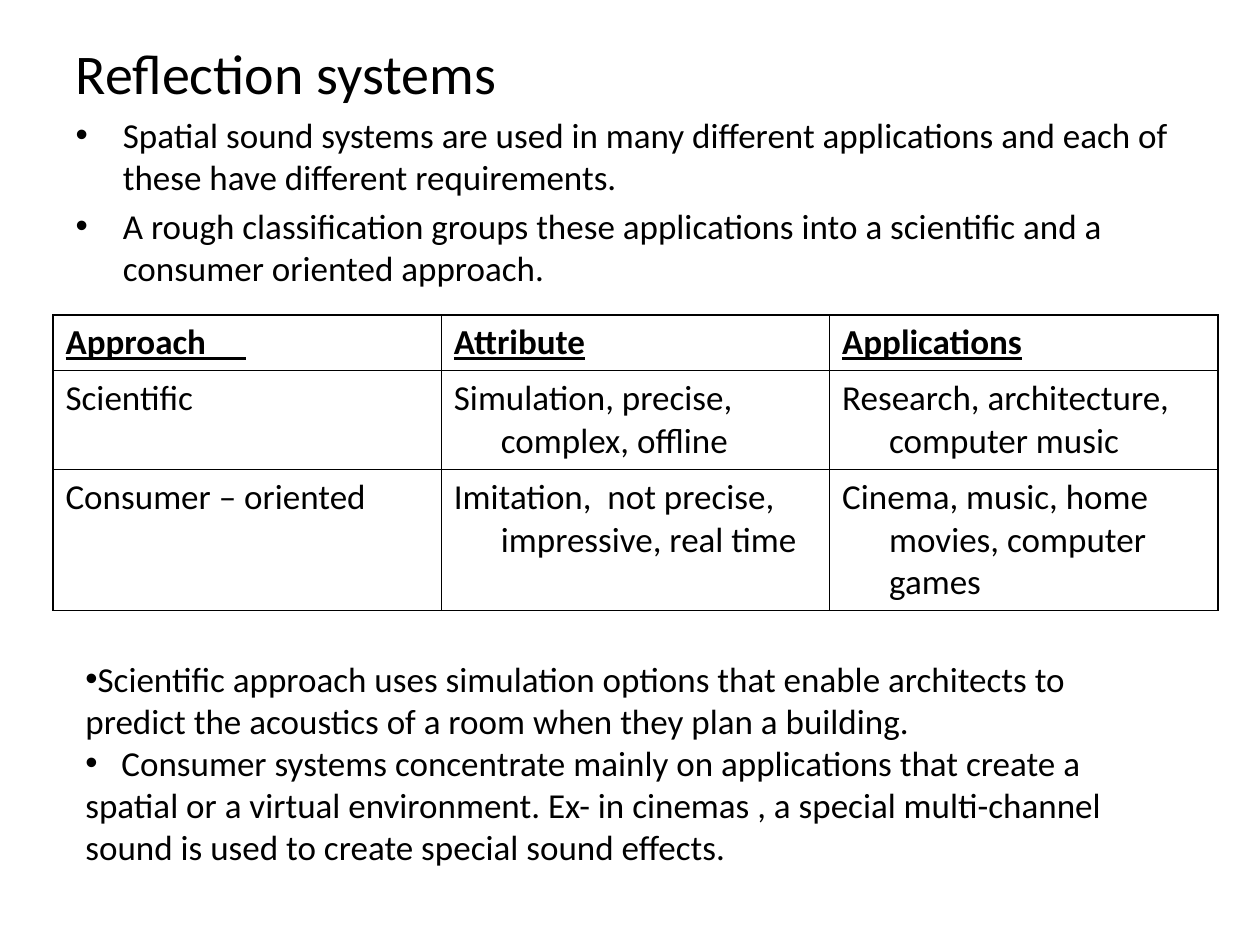
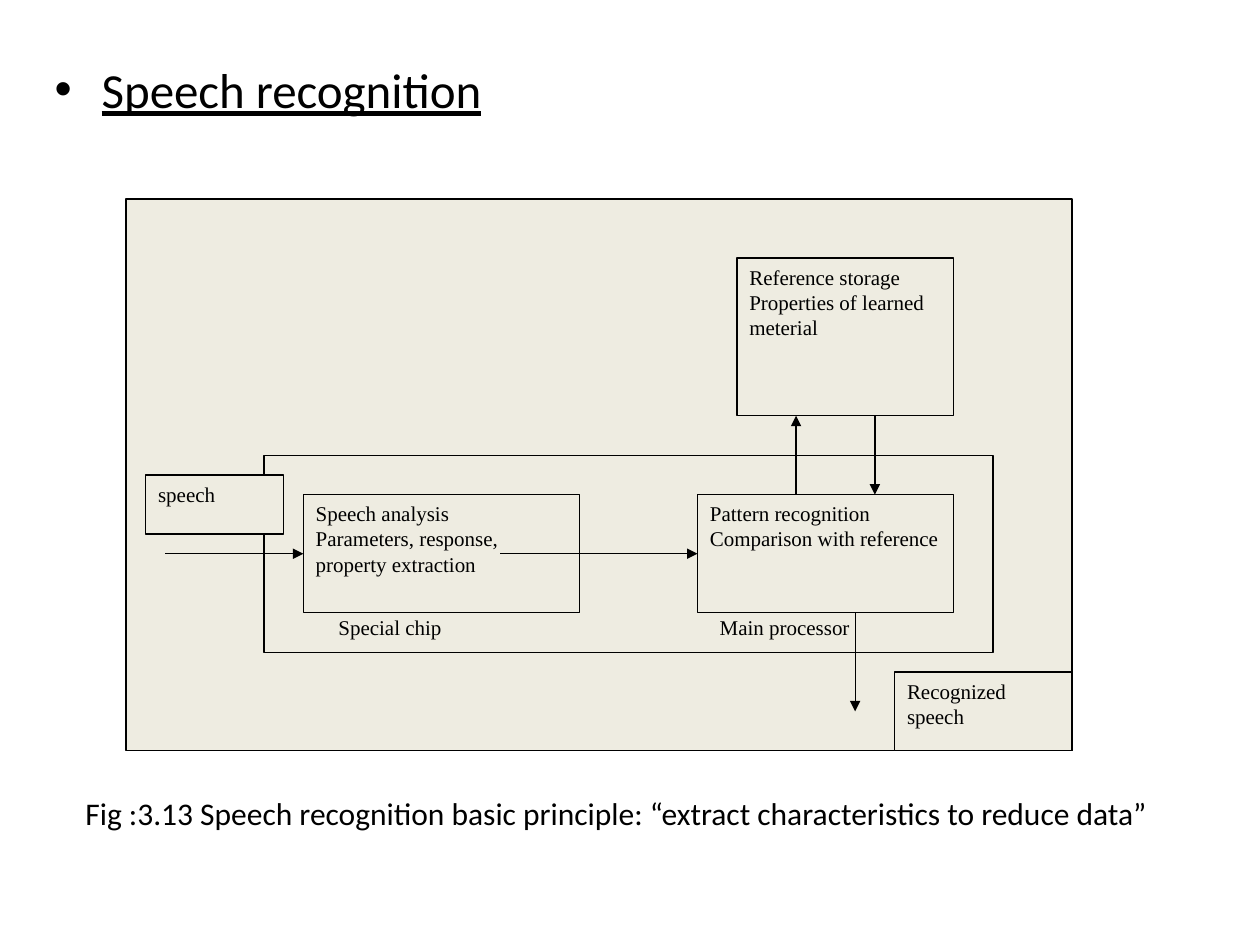
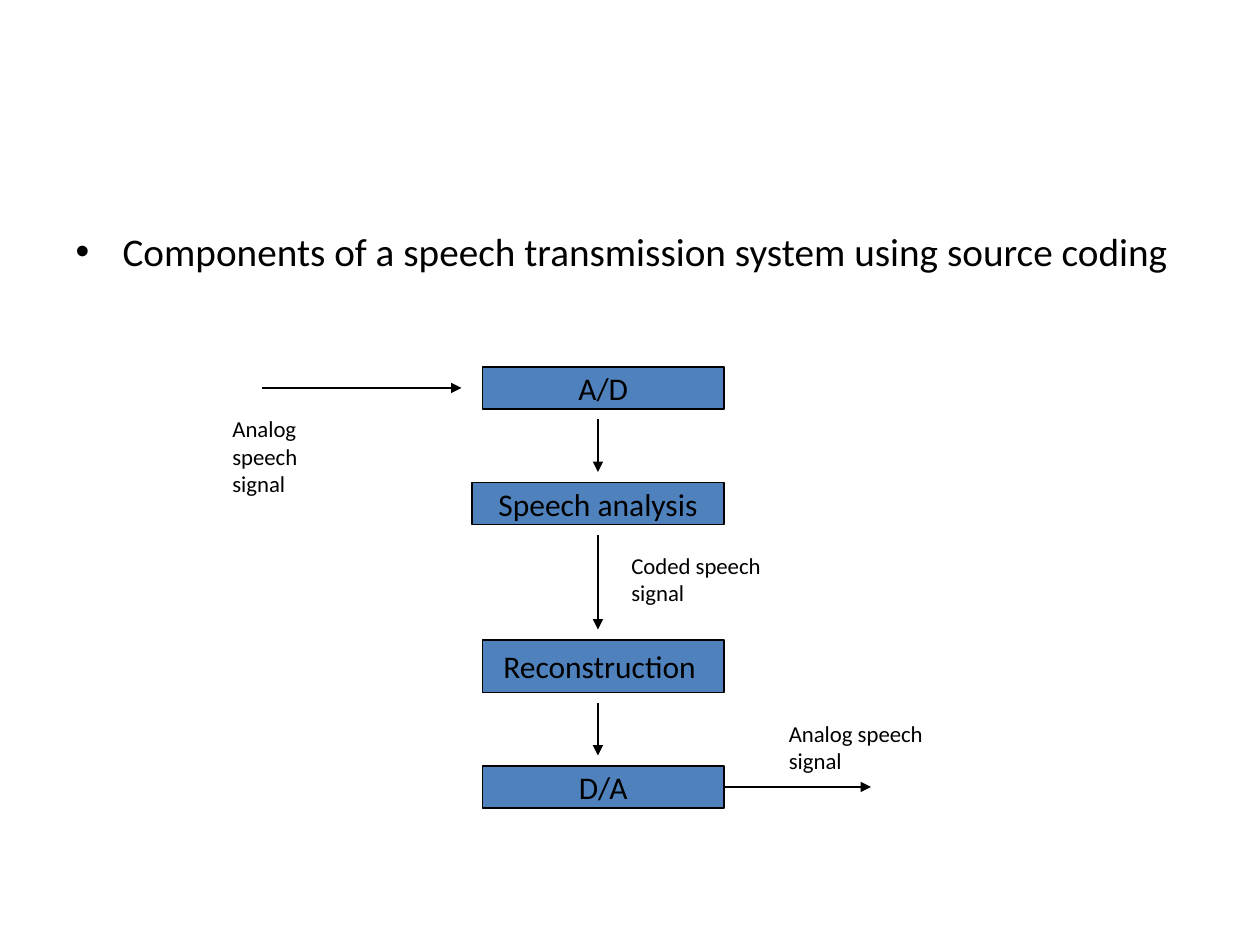
import dataclasses

import lxml.etree
import pptx
import pptx.chart.data
import pptx.dml.color
import pptx.enum.shapes
import pptx.enum.text
import pptx.oxml
import pptx.oxml.ns
import pptx.util

EMU_PER_PX = 914400 / 126
BLACK, BEIGE, BLUE = "000000", "EEECE1", "4F81BD"
SANS, SERIF = "Calibri", "Times New Roman"
HANGING = 47
LINE_WIDTH = 0.75
TITLE_AND_CONTENT, TITLE_ONLY = 1, 5

ANCHOR = pptx.enum.text.MSO_ANCHOR
ALIGN = pptx.enum.text.PP_ALIGN


@dataclasses.dataclass
class Grid:
    """Square cells that divide the width of a px box into columns."""
    left: int
    top: int
    width: int
    columns: int

    def place(self, x, y):
        cell = self.width / self.columns
        return px(self.left + x * cell), px(self.top + y * cell)

    def box(self, x, y, width, height):
        left, top = self.place(x, y)
        right, bottom = self.place(x + width, y + height)
        return left, top, right - left, bottom - top


def px(length):
    return pptx.util.Emu(round(length * EMU_PER_PX))


def px_box(box):
    return [px(length) for length in box]


def color(value):
    return pptx.dml.color.RGBColor.from_string(value)


def add_xml(parent, tag, **attributes):
    element = lxml.etree.SubElement(parent, pptx.oxml.ns.qn(tag))
    for name, value in attributes.items():
        element.set(name, str(value))
    return element


def add_run(paragraph, text, size, font=SANS, bold=None, underline=None):
    run = paragraph.add_run()
    run.text = text
    run.font.size = pptx.util.Pt(size)
    run.font.name = font
    run.font.color.rgb = color(BLACK)
    run.font.bold = bold
    run.font.underline = underline


def set_indent(paragraph, margin, first_line):
    properties = paragraph._p.get_or_add_pPr()
    properties.set("marL", str(px(margin)))
    properties.set("indent", str(px(first_line)))
    return properties


def add_bullet(properties):
    add_xml(properties, "a:buFont", typeface="Arial")
    add_xml(properties, "a:buChar", char="•")


def write_lines(frame, lines, size, font=SANS, align=ALIGN.LEFT):
    """Write one paragraph a line and return the paragraphs."""
    for index, line in enumerate(lines):
        paragraph = frame.paragraphs[0] if index == 0 else frame.add_paragraph()
        paragraph.alignment = align
        add_run(paragraph, line, size, font)
    return frame.paragraphs


def fit_placeholder(placeholder, box):
    placeholder.left, placeholder.top, placeholder.width, placeholder.height = px_box(box)
    frame = placeholder.text_frame
    frame.auto_size = pptx.enum.text.MSO_AUTO_SIZE.NONE
    frame.vertical_anchor = ANCHOR.TOP
    frame.word_wrap = True
    return frame


def add_heading(slide, box, text, size, bullet=True, underline=None):
    paragraph = fit_placeholder(slide.shapes.title, box).paragraphs[0]
    paragraph.alignment = ALIGN.LEFT
    if bullet:
        add_bullet(set_indent(paragraph, HANGING, -HANGING))
    add_run(paragraph, text, size, underline=underline)


def add_text(shapes, emu_box, lines, size, font=SANS):
    text_box = shapes.add_textbox(*emu_box)
    text_box.text_frame.word_wrap = True
    return write_lines(text_box.text_frame, lines, size, font)


def add_block(shapes, emu_box, fill):
    block = shapes.add_shape(pptx.enum.shapes.MSO_SHAPE.RECTANGLE, *emu_box)
    block.shadow.inherit = False
    block.fill.solid()
    block.fill.fore_color.rgb = color(fill)
    block.line.color.rgb = color(BLACK)
    block.line.width = pptx.util.Pt(LINE_WIDTH)
    return block


def add_arrow(shapes, start, end):
    arrow = shapes.add_connector(pptx.enum.shapes.MSO_CONNECTOR.STRAIGHT, *start, *end)
    arrow.line.color.rgb = color(BLACK)
    arrow.line.width = pptx.util.Pt(LINE_WIDTH)
    add_xml(arrow.line._get_or_add_ln(), "a:tailEnd", type="triangle")
    add_xml(arrow._element.spPr, "a:effectLst")


def add_arrows(shapes, grid, arrows):
    for x1, y1, x2, y2 in arrows:
        add_arrow(shapes, grid.place(x1, y1), grid.place(x2, y2))


def set_borders(cell):
    properties = cell._tc.get_or_add_tcPr()
    for index, side in enumerate(("a:lnL", "a:lnR", "a:lnT", "a:lnB")):
        border = lxml.etree.Element(pptx.oxml.ns.qn(side), w=str(pptx.util.Pt(1)))
        add_xml(add_xml(border, "a:solidFill"), "a:srgbClr", val=BLACK)
        properties.insert(index, border)


def add_approach_table(slide, left, top):
    rows = [
        ("Approach     ", "Attribute", "Applications"),
        ("Scientific", "Simulation, precise, complex, offline",
         "Research, architecture, computer music"),
        ("Consumer – oriented", "Imitation,  not precise, impressive, real time",
         "Cinema, music, home movies, computer games"),
    ]
    row_heights = (55, 99, 141)
    box = px_box((left, top, 1165, sum(row_heights)))
    table = slide.shapes.add_table(len(rows), len(rows[0]), *box).table
    table.first_row = table.horz_banding = False
    for row_index, (texts, height) in enumerate(zip(rows, row_heights)):
        table.rows[row_index].height = px(height)
        header = row_index == 0
        for column_index, text in enumerate(texts):
            cell = table.cell(row_index, column_index)
            cell.fill.background()
            set_borders(cell)
            paragraph = cell.text_frame.paragraphs[0]
            set_indent(paragraph, HANGING, -HANGING)
            add_run(paragraph, text, 20, bold=header, underline=header)


def build_reflection_slide(slide):
    add_heading(slide, (63, 32, 1134, 75), "Reflection systems", 32, bullet=False)
    write_lines(fit_placeholder(slide.placeholders[1], (63, 107, 1134, 208)), [
        "Spatial sound systems are used in many different applications and each of "
        "these have different requirements.",
        "A rough classification groups these applications into a scientific and a "
        "consumer oriented approach.",
    ], 20)
    add_approach_table(slide, 53, 315)
    paragraphs = add_text(slide.shapes, px_box((73, 651, 1071, 224)), [
        "Scientific approach uses simulation options that enable architects to predict "
        "the acoustics of a room when they plan a building.",
        "\tConsumer systems concentrate mainly on applications that create a spatial or "
        "a virtual environment. Ex- in cinemas , a special multi-channel sound is used "
        "to create special sound effects.",
    ], 20)
    for paragraph in paragraphs:
        properties = set_indent(paragraph, 0, 0)
        add_bullet(properties)
        add_xml(add_xml(properties, "a:tabLst"), "a:tab", pos=px(36), algn="l")


def add_recognition_diagram(slide, grid):
    shapes = slide.shapes.add_group_shape().shapes
    blocks = [
        ((0, 0, 48, 28), []),
        ((7, 13, 37, 10), []),
        ((31, 3, 11, 8), ["Reference storage", "Properties of learned meterial"]),
        ((9, 15, 14, 6), ["Speech analysis", "Parameters, response, property extraction"]),
        ((29, 15, 13, 6), ["Pattern recognition", "Comparison with reference"]),
        ((39, 24, 9, 4), ["Recognized speech"]),
        ((1, 14, 7, 3), ["speech"]),
    ]
    for cells, lines in blocks:
        frame = add_block(shapes, grid.box(*cells), BEIGE).text_frame
        frame.vertical_anchor = ANCHOR.TOP
        write_lines(frame, lines, 12, SERIF)
    for x, label in ((10.15, "Special chip"), (29.5, "Main processor")):
        add_text(shapes, grid.box(x, 20.75, 9, 2), [label], 12, SERIF)
    add_arrows(shapes, grid, [
        (19, 18, 29, 18), (2, 18, 9, 18), (37, 21, 37, 26),
        (38, 11, 38, 15), (34, 15, 34, 11),
    ])


def build_recognition_slide(slide):
    add_heading(slide, (42, 53, 1134, 84), "Speech recognition", 28, underline=True)
    add_recognition_diagram(slide, Grid(126, 199, 946, 48))
    add_text(slide.shapes, px_box((73, 788, 1103, 50)), [
        "Fig :3.13 Speech recognition basic principle: “extract characteristics to "
        "reduce data”"], 18)


def add_transmission_diagram(slide, grid):
    stages = [
        ((25, 0, 23, 4), "A/D"),
        ((24, 11, 24, 4), "Speech analysis"),
        ((25, 26, 23, 5), "Reconstruction "),
        ((25, 38, 23, 4), "D/A"),
    ]
    for cells, name in stages:
        frame = add_block(slide.shapes, grid.box(*cells), BLUE).text_frame
        frame.word_wrap = False
        frame.vertical_anchor = ANCHOR.MIDDLE
        write_lines(frame, [name], 18, align=ALIGN.CENTER)
    add_arrows(slide.shapes, grid, [
        (4, 2, 23, 2), (36, 5, 36, 10), (36, 16, 36, 25),
        (36, 32, 36, 37), (48, 40, 62, 40),
    ])
    signals = [
        ((0, 4, 14, 9), "Analog speech signal"),
        ((53, 33, 19, 6), "Analog speech signal"),
        ((38, 17, 20, 6), "Coded speech signal"),
    ]
    for cells, name in signals:
        add_text(slide.shapes, grid.box(*cells), [name], 13)


def build_transmission_slide(slide):
    add_heading(slide, (63, 221, 1134, 73),
                "Components of a speech transmission system using source coding", 22.4)
    add_transmission_diagram(slide, Grid(220, 367, 756, 72))


def main():
    presentation = pptx.Presentation()
    presentation.slide_width, presentation.slide_height = px(1260), px(945)
    for layout, build in (
        (TITLE_AND_CONTENT, build_reflection_slide),
        (TITLE_ONLY, build_recognition_slide),
        (TITLE_ONLY, build_transmission_slide),
    ):
        build(presentation.slides.add_slide(presentation.slide_layouts[layout]))
    presentation.save("out.pptx")


if __name__ == "__main__":
    main()
